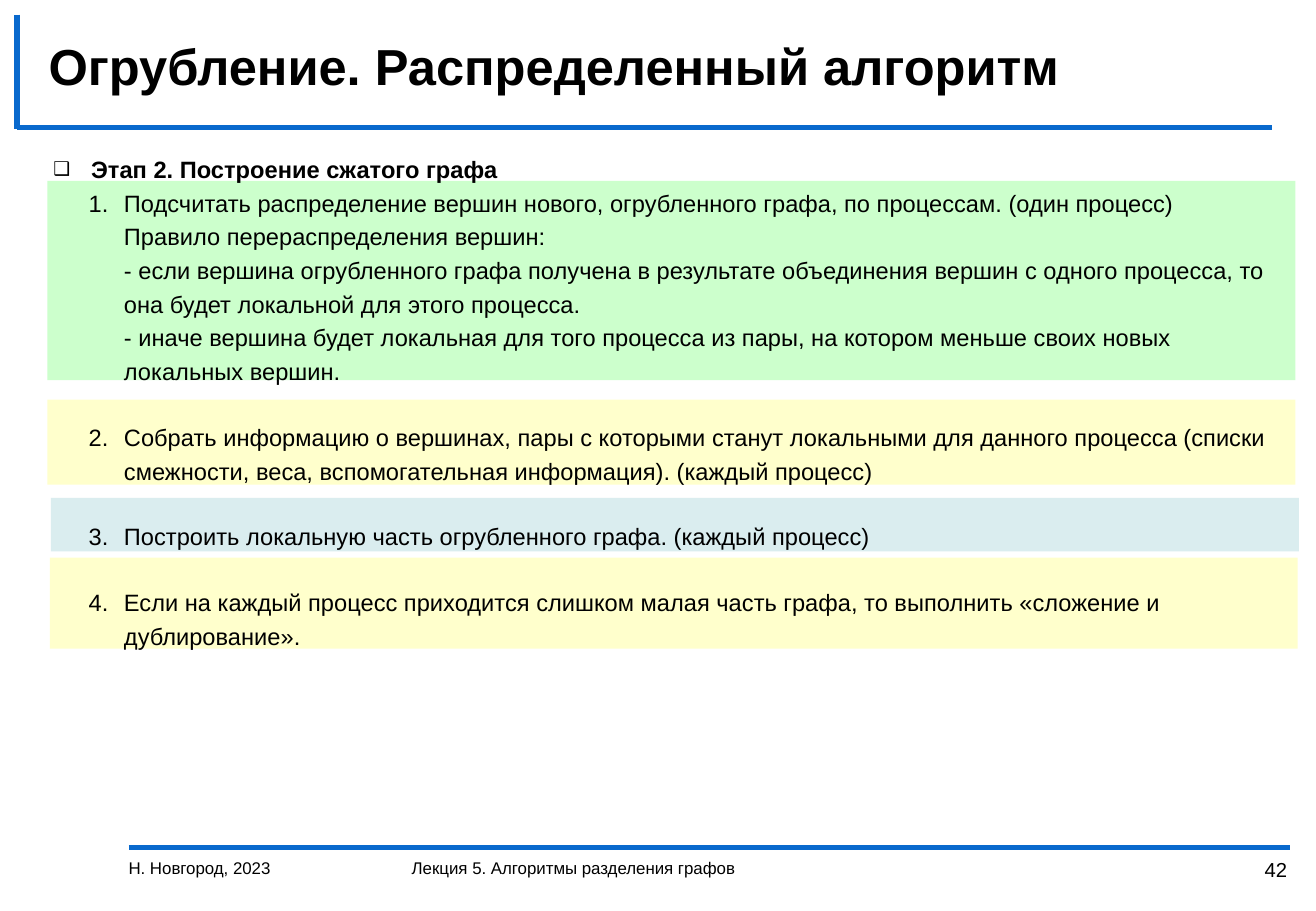
import pptx
import pptx.util
import pptx.dml.color
import pptx.enum.shapes
import pptx.enum.text
import pptx.oxml.ns
import lxml.etree

Inches = pptx.util.Inches
Pt = pptx.util.Pt
ALIGN = pptx.enum.text.PP_ALIGN
ANCHOR = pptx.enum.text.MSO_ANCHOR
BLUE = "0969CD"
BLACK = "000000"
YELLOW = "FFFFCC"

RULES = [(1.06, 6.98, 10.62, 6.98), (0.14, 1.05, 10.47, 1.05), (0.14, 0.12, 0.14, 1.06)]
BANDS = [
    (0.39, 1.49, 1.64, "CCFFCC"),
    (0.39, 3.29, 0.7, YELLOW),
    (0.42, 4.1, 0.44, "DAEDEF"),
    (0.41, 4.59, 0.75, YELLOW),
]
STEPS = [
    "Подсчитать распределение вершин нового, огрубленного графа, по процессам. (один процесс)\v"
    "Правило перераспределения вершин:\v"
    "- если вершина огрубленного графа получена в результате объединения вершин с одного процесса, "
    "то она будет локальной для этого процесса.\v"
    "- иначе вершина будет локальная для того процесса из пары, на котором меньше своих новых "
    "локальных вершин.",
    "Собрать информацию о вершинах, пары с которыми станут локальными для данного процесса "
    "(списки смежности, веса, вспомогательная информация). (каждый процесс)",
    "Построить локальную часть огрубленного графа. (каждый процесс)",
    "Если на каждый процесс приходится слишком малая часть графа, то выполнить "
    "«сложение и дублирование».",
]
FOOTER = [
    (0.96, 2.24, "Н. Новгород, 2023", 10, ALIGN.LEFT),
    (3.29, 6.3, "Лекция 5. Алгоритмы разделения графов", 10, ALIGN.LEFT),
    (9.67, 1.02, "42", 12, ALIGN.RIGHT),
]


def color(code):
    return pptx.dml.color.RGBColor.from_string(code)


def place(shape, left, top, width, height):
    shape.left, shape.top = Inches(left), Inches(top)
    shape.width, shape.height = Inches(width), Inches(height)


def style(para, size, bold=False, align=ALIGN.LEFT):
    para.alignment = align
    para.space_before = para.space_after = Pt(0)
    font = para.font
    font.name, font.size, font.bold = "Arial", Pt(size), bold
    font.color.rgb = color(BLACK)


def add_mark(para, left, hang, marks):
    """Set the indents and the bullet elements of a paragraph."""
    props = para._p.get_or_add_pPr()
    props.set("marL", str(Inches(left)))
    props.set("indent", str(-Inches(hang)))
    for tag, attrs in marks:
        lxml.etree.SubElement(props, pptx.oxml.ns.qn(tag), attrs)


def add_rule(slide, x1, y1, x2, y2):
    rule = slide.shapes.add_connector(
        pptx.enum.shapes.MSO_CONNECTOR.STRAIGHT, Inches(x1), Inches(y1), Inches(x2), Inches(y2))
    rule.line.color.rgb = color(BLUE)
    rule.line.width = Pt(3)
    lxml.etree.SubElement(rule._element.spPr, pptx.oxml.ns.qn("a:effectLst"))


def add_band(slide, left, top, height, fill):
    band = slide.shapes.add_shape(
        pptx.enum.shapes.MSO_SHAPE.RECTANGLE,
        Inches(left), Inches(top), Inches(10.27), Inches(height))
    band.shadow.inherit = False
    band.fill.solid()
    band.fill.fore_color.rgb = color(fill)
    band.line.fill.background()


def add_label(slide, left, width, text, size, align):
    box = slide.shapes.add_textbox(Inches(left), Inches(7.01), Inches(width), Inches(0.49))
    box.text_frame.word_wrap = True
    para = box.text_frame.paragraphs[0]
    para.text = text
    style(para, size, align=align)


def fill_title(title):
    place(title, 0.3, 0.23, 10.35, 0.61)
    frame = title.text_frame
    frame.auto_size = pptx.enum.text.MSO_AUTO_SIZE.NONE
    frame.vertical_anchor = ANCHOR.MIDDLE
    para = frame.paragraphs[0]
    para.text = "Огрубление. Распределенный алгоритм"
    style(para, 30, bold=True)


def fill_body(body):
    place(body, 0.14, 1.18, 10.39, 4.4)
    frame = body.text_frame
    frame.auto_size = pptx.enum.text.MSO_AUTO_SIZE.NONE
    frame.vertical_anchor = ANCHOR.TOP

    # Stage heading
    head = frame.paragraphs[0]
    head.text = "Этап 2. Построение сжатого графа"
    head.line_spacing = 1.19
    add_mark(head, 0.51, 0.31, [
        ("a:buSzPct", {"val": "80000"}),
        ("a:buFont", {"typeface": "Arial"}),
        ("a:buChar", {"char": "❑"}),
    ])
    style(head, 14, bold=True)

    # Numbered steps, one line apart
    for index, text in enumerate(STEPS):
        para = frame.add_paragraph()
        para.text = text
        para.line_spacing = 1.19
        add_mark(para, 0.78, 0.29, [
            ("a:buFont", {"typeface": "Arial"}),
            ("a:buAutoNum", {"type": "arabicPeriod"}),
        ])
        style(para, 14)
        para.space_before = Pt(19 if index else 0)


def main():
    deck = pptx.Presentation()
    deck.slide_width, deck.slide_height = Inches(10.83), Inches(7.5)
    slide = deck.slides.add_slide(deck.slide_layouts[1])
    title, body = slide.placeholders

    # Frame lines and colour bands
    for rule in RULES:
        add_rule(slide, *rule)
    for band in BANDS:
        add_band(slide, *band)

    # Text in front of the bands
    for holder in (body, title):
        slide.shapes._spTree.append(holder._element)
    fill_title(title)
    fill_body(body)
    for label in FOOTER:
        add_label(slide, *label)

    deck.save("out.pptx")


if __name__ == "__main__":
    main()
